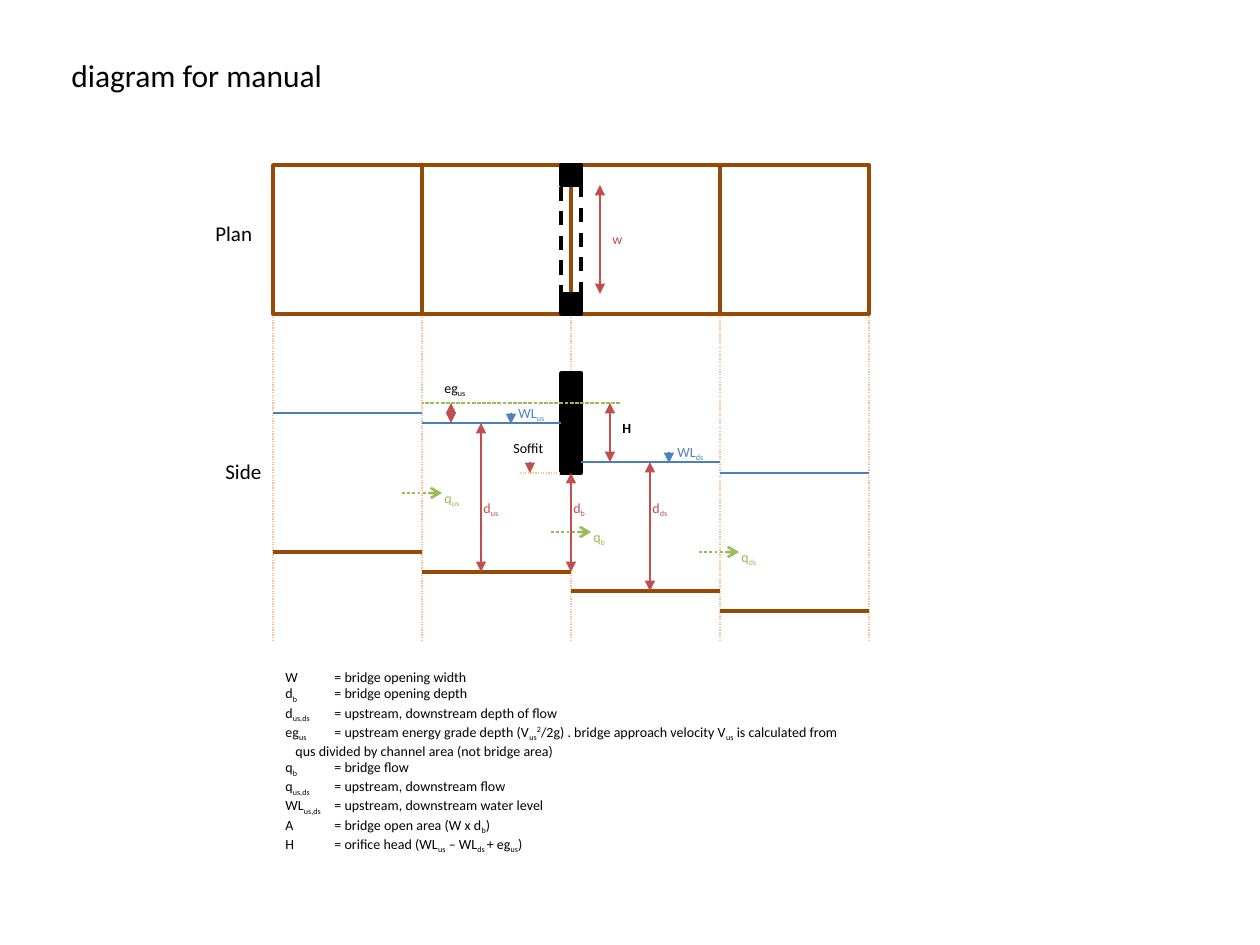
from lxml import etree
from pptx import Presentation
from pptx.dml.color import RGBColor
from pptx.enum.dml import MSO_LINE
from pptx.enum.shapes import MSO_CONNECTOR, MSO_SHAPE
from pptx.enum.text import MSO_AUTO_SIZE
from pptx.oxml.ns import qn
from pptx.util import Pt

PX = 914400 // 126
STRAIGHT = MSO_CONNECTOR.STRAIGHT
RECTANGLE = MSO_SHAPE.RECTANGLE
FIT_SHAPE = MSO_AUTO_SIZE.SHAPE_TO_FIT_TEXT
DOT, SHORT_DASH, DASH = MSO_LINE.ROUND_DOT, MSO_LINE.SQUARE_DOT, MSO_LINE.DASH
BLACK = RGBColor(0x00, 0x00, 0x00)
BROWN = RGBColor(0x98, 0x48, 0x07)
ORANGE = RGBColor(0xFA, 0xC0, 0x90)
RED = RGBColor(0xC0, 0x50, 0x4D)
GREEN = RGBColor(0x9B, 0xBB, 0x59)
WATER = RGBColor(0x4B, 0x7E, 0xBC)
BLUE = RGBColor(0x4F, 0x81, 0xBD)

deck = Presentation()
deck.slide_width, deck.slide_height = 1260 * PX, 945 * PX
page = deck.slides.add_slide(deck.slide_layouts[6])


def draw_line(x1, y1, x2, y2, color, width=0.75, dash=None, head=None, tail=None):
    line = page.shapes.add_connector(STRAIGHT, x1 * PX, y1 * PX, x2 * PX, y2 * PX)
    line.line.color.rgb = color
    line.line.width = Pt(width)
    if dash:
        line.line.dash_style = dash
    outline = line.line._get_or_add_ln()
    for tag, kind in (("a:headEnd", head), ("a:tailEnd", tail)):
        if kind:
            etree.SubElement(outline, qn(tag)).set("type", kind)
    etree.SubElement(line._element.spPr, qn("a:effectLst"))
    return line


def write(x, y, width, height, lines, color=BLACK, size=8, wrap=False, bold=None):
    """Text between underscores is subscript, or superscript after a caret."""
    box = page.shapes.add_textbox(x * PX, y * PX, width * PX, height * PX)
    frame = box.text_frame
    frame.text = "\n".join(lines)
    frame.word_wrap = wrap
    frame.auto_size = FIT_SHAPE
    for para, line in zip(frame.paragraphs, lines):
        para.text = ""
        for index, part in enumerate(line.split("_")):
            if not part:
                continue
            span = para.add_run()
            span.text = part.lstrip("^")
            span.font.name = "Calibri"
            span.font.size = Pt(size)
            span.font.bold = bold
            span.font.color.rgb = color
            if index % 2:
                shift = "30000" if part.startswith("^") else "-25000"
                span._r.get_or_add_rPr().set("baseline", shift)
    return box


# Channel sections: dotted guides from plan to side view
LEFT, SECTION, TOP = 273, 149, 165
edges = [LEFT + SECTION * i for i in range(5)]
middle = edges[2]
for x in edges:
    draw_line(x, TOP, x, 641, ORANGE, dash=DOT)

# Plan view with the dashed bridge outline, side view beds
plan_boxes = [(middle - 10, 20, BLACK, DASH)]
plan_boxes += [(x, SECTION, BROWN, None) for x in edges[:4]]
for x, width, color, dash in plan_boxes:
    cell = page.shapes.add_shape(RECTANGLE, x * PX, TOP * PX, width * PX, SECTION * PX)
    cell.shadow.inherit = False
    cell.fill.background()
    cell.line.color.rgb = color
    cell.line.width = Pt(2)
    if dash:
        cell.line.dash_style = dash
for x, y in zip(edges, (552, 572, 591, 611)):
    draw_line(x, y, x + SECTION, y, BROWN, 2)

# Bridge abutments (plan) and bridge deck (side)
for y, height in ((TOP, 20), (TOP + SECTION - 20, 20), (373, 100)):
    bridge = page.shapes.add_shape(
        RECTANGLE, (middle - 10) * PX, y * PX, 20 * PX, height * PX)
    bridge.shadow.inherit = False
    bridge.fill.solid()
    bridge.fill.fore_color.rgb = BLACK
    bridge.line.color.rgb = BLACK
    bridge.line.width = Pt(2)

# Energy grade line, water levels and soffit level
draw_line(620, 403, edges[1], 403, GREEN, dash=SHORT_DASH)
draw_line(edges[0], 413, edges[1], 413, WATER)
upstream_level = draw_line(edges[1], 423, middle - 10, 423, WATER)
upstream_level.end_connect(bridge, 1)
draw_line(middle + 10, 462, edges[3], 462, WATER)
draw_line(edges[3], 473, edges[4], 473, WATER)
draw_line(520, 473, 560, 473, ORANGE, dash=DOT)

# Dimension arrows: w, eg, d us, d ds, H, d b
for x, y1, y2 in ((600, 185, 294), (451, 403, 423), (481, 423, 572),
                  (650, 462, 591), (610, 403, 462)):
    draw_line(x, y1, x, y2, RED, head="triangle", tail="triangle")
opening_depth = draw_line(middle, 473, middle, 572, RED, head="triangle", tail="triangle")
opening_depth.begin_connect(bridge, 2)

# Level markers and flow arrows
for x, y, color in ((530, 462, RED), (669, 452, BLUE), (511, 413, BLUE)):
    draw_line(x, y, x, y + 11, color, tail="triangle")
for x, y in ((402, 493), (551, 532), (699, 552)):
    draw_line(x, y, x + 40, y, GREEN, 1.5, DOT, tail="arrow")

# Labels
for x, y, width, text, color in (
        (600, 224, 35, "w", RED), (561, 493, 38, "d_b_", RED),
        (471, 493, 42, "d_us_", RED), (640, 493, 42, "d_ds_", RED),
        (432, 483, 42, "q_us_", GREEN), (729, 542, 42, "q_ds_", GREEN),
        (581, 522, 38, "q_b_", GREEN)):
    write(x, y, width, 30, [text], color)
for x, y, width, text, color, bold in (
        (432, 373, 49, "eg_us_", BLACK, None), (501, 433, 59, "Soffit", BLACK, None),
        (610, 413, 49, "H", BLACK, True), (665, 437, 59, "WL_ds_", BLUE, None),
        (506, 398, 59, "WL_us_", BLUE, None)):
    write(x, y, width, 30, [text], color, wrap=True, bold=bold)
write(203, 214, 63, 38, ["Plan"], size=12)
write(213, 452, 62, 38, ["Side"], size=12)
write(59, 50, 278, 50, ["diagram for manual"], size=18)

# Legend: symbols and meanings set on one tab stop
CONTINUATION = "qus divided by channel area (not bridge area)"
legend = [
    "W\t= bridge opening width",
    "d_b_\t= bridge opening depth",
    "d_us,ds_\t= upstream, downstream depth of flow",
    "eg_us_\t= upstream energy grade depth (V_us__^2_/2g) . "
    "bridge approach velocity V_us_ is calculated from",
    CONTINUATION,
    "q_b_\t= bridge flow",
    "q_us,ds_\t= upstream, downstream flow",
    "WL_us,ds_\t= upstream, downstream water level",
    "A\t= bridge open area (W x d_b_)",
    "H\t= orifice head (WL_us_ – WL_ds _+ eg_us_)",
]
legend_box = write(LEFT, 662, 586, 183, legend, wrap=True)
for para, line in zip(legend_box.text_frame.paragraphs, legend):
    properties = para._p.get_or_add_pPr()
    if line == CONTINUATION:
        properties.set("marL", str(10 * PX))
        continue
    tabs = etree.SubElement(properties, qn("a:tabLst"))
    stop = etree.SubElement(tabs, qn("a:tab"))
    stop.set("pos", str(49 * PX))
    stop.set("algn", "l")

deck.save("out.pptx")
